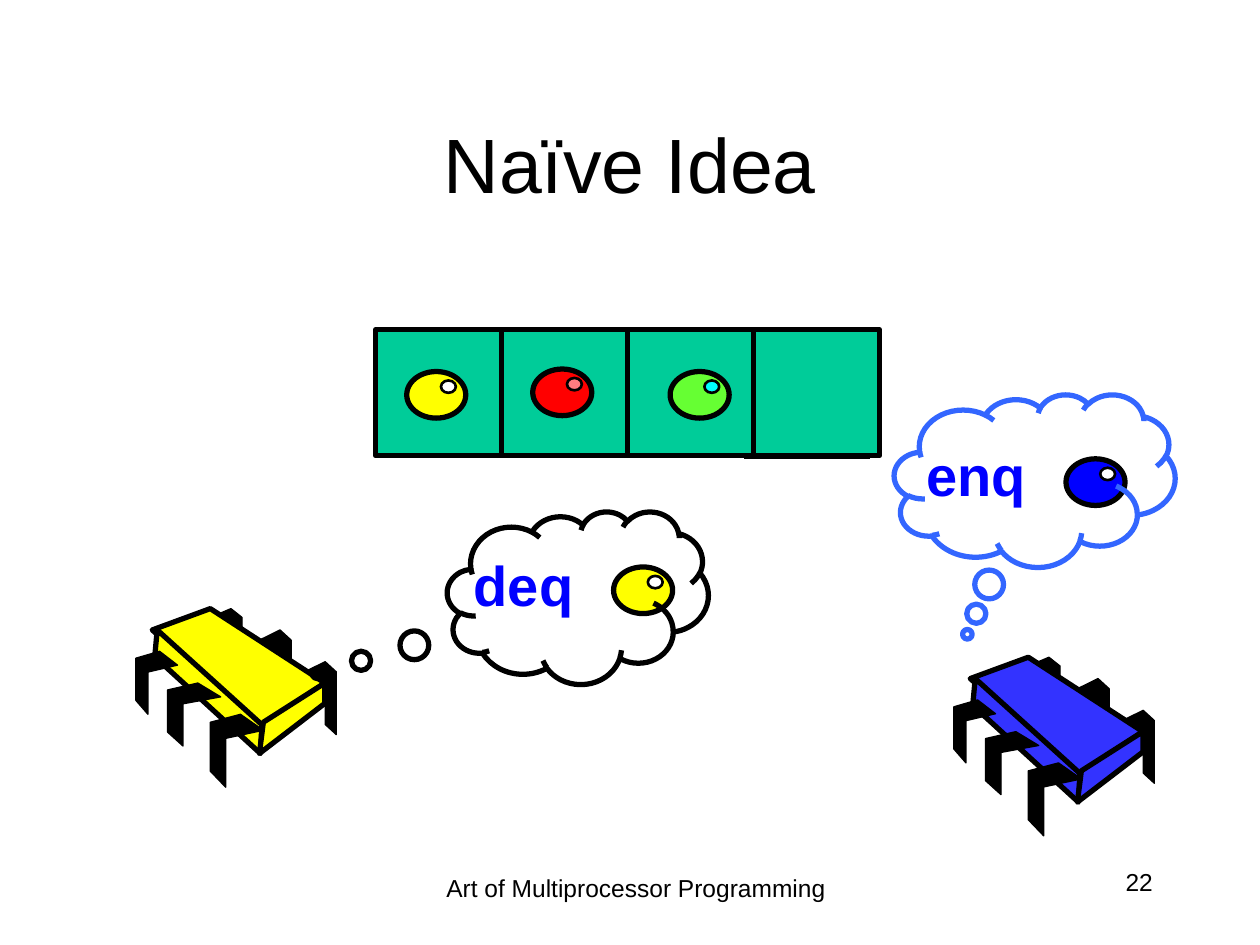
from lxml import etree
from pptx import Presentation
from pptx.dml.color import RGBColor
from pptx.enum.shapes import MSO_CONNECTOR, MSO_SHAPE
from pptx.enum.text import MSO_ANCHOR, PP_ALIGN
from pptx.oxml.ns import qn
from pptx.util import Cm, Pt

RECT, OVAL, CLOUD = MSO_SHAPE.RECTANGLE, MSO_SHAPE.OVAL, MSO_SHAPE.CLOUD_CALLOUT
LINE = MSO_CONNECTOR.STRAIGHT
MID, TOP = MSO_ANCHOR.MIDDLE, MSO_ANCHOR.TOP
MIDDLE, RIGHT = PP_ALIGN.CENTER, PP_ALIGN.RIGHT
BLACK, BLUE, GREEN = "000000", "0000FF", "00CC99"
YELLOW, WHITE = "FFFF00", "FFFFFF"

TITLE = ("Naïve Idea", 1.9, 1.7, 21.6, 3.18, 44)
FOOT = ("Art of Multiprocessor Programming", 8.2, 17.48, 9.25, 1.27, 14)
PAGE = ("22", 18.21, 17.35, 5.28, 1.27, 14)
CALLS = [("enq", 18.42, 8.76, 2.51, 1.63, 32), ("deq", 9.3, 10.97, 2.51, 1.63, 32)]

CELL, CELLS, LEFT, HEAD = 2.54, 4, 7.57, 6.65
EDGE = 14.99
BEADS = [
    (13.51, 7.49, "66FF33", "00FFFF"),
    (10.74, 7.44, "FF0000", "FF7C80"),
    (8.2, 7.49, YELLOW, WHITE),
    (21.49, 9.25, BLUE, WHITE),
    (12.37, 11.43, YELLOW, WHITE),
]
CLOUDS = [
    (9.02, 10.31, 5.26, 3.48, BLACK, (-1, 0.44)),
    (18.03, 7.95, 5.66, 3.48, "3366FF", (-0.24, 0.89)),
]
CHIPS = [(2.74, 12.27, YELLOW), (19.23, 13.25, "3333FF")]
FACES = [
    [(1.5, 0), (3.81, 1.5), (2.51, 2.36), (0.33, 0.43)],
    [(0.43, 0.43), (2.54, 2.34), (2.51, 2.92), (0.38, 0.97)],
    [(3.81, 1.5), (3.81, 1.91), (2.49, 2.92), (2.57, 2.29)],
]
REAR = [(0, 0.14), (0.65, 0), (1, 0.14), (1, 1), (0.65, 0.86), (0.65, 0.29), (0, 0.43)]
FRONT = [(0.57, 0), (1, 0.22), (0.29, 0.33), (0.29, 1), (0, 0.78), (0, 0.11)]
BACK_LEGS = [(3.4, 1.07, 0.64, 1.47), (2.49, 0.43, 0.64, 1.47), (1.5, 0, 0.64, 1.27)]
NEAR_LEGS = [(1.5, 2.13, 1.07, 1.47), (0.64, 1.5, 1.07, 1.27), (0, 0.86, 0.84, 1.27)]

deck = Presentation()
deck.slide_width, deck.slide_height = Cm(25.4), Cm(19.05)
shapes = deck.slides.add_slide(deck.slide_layouts[6]).shapes


def color(code):
    return RGBColor.from_string(code)


def paint(shape, fill, line=BLACK, width=3):
    shape.shadow.inherit = False
    if fill:
        shape.fill.solid()
        shape.fill.fore_color.rgb = color(fill)
    else:
        shape.fill.background()
    shape.line.color.rgb = color(line)
    shape.line.width = Pt(width)


def block(kind, x, y, w, h, fill, line=BLACK, width=3):
    shape = shapes.add_shape(kind, Cm(x), Cm(y), Cm(w), Cm(h))
    paint(shape, fill, line, width)
    return shape


def write(item, align=MIDDLE, code=BLACK, bold=False, wrap=True, anchor=TOP):
    text, x, y, w, h, size = item
    frame = shapes.add_textbox(Cm(x), Cm(y), Cm(w), Cm(h)).text_frame
    frame.word_wrap = wrap
    frame.vertical_anchor = anchor
    para = frame.paragraphs[0]
    para.text = text
    para.alignment = align
    font = para.font
    font.name, font.size, font.bold = "Arial", Pt(size), bold
    font.color.rgb = color(code)


def rule(x, y, length):
    line = shapes.add_connector(LINE, Cm(x), Cm(y), Cm(x + length), Cm(y))
    line.line.color.rgb = color(BLACK)
    line.line.width = Pt(3)
    etree.SubElement(line._element.spPr, qn("a:effectLst"))


def bead(x, y, fill, spark):
    block(OVAL, x, y, 1.19, 0.94, fill)
    block(OVAL, x + 0.69, y + 0.18, 0.3, 0.25, spark, width=1.5)


def outline(points, x, y, fill, width):
    spots = [(Cm(x + a), Cm(y + b)) for a, b in points]
    path = shapes.build_freeform(*spots[0])
    path.add_line_segments(spots[1:], close=True)
    paint(path.convert_to_shape(), fill, width=width)


def legs(form, places, x, y):
    for dx, dy, w, h in places:
        points = [(dx + a * w, dy + b * h) for a, b in form]
        outline(points, x, y, BLACK, 0.75)


def chip(x, y, fill):
    legs(REAR, BACK_LEGS, x, y)
    for face in FACES:
        outline(face, x, y, fill, 3)
    legs(FRONT, NEAR_LEGS, x, y)


write(TITLE, anchor=MID)
for y in (HEAD, HEAD + CELL):
    rule(EDGE, y, CELL)
for i in range(CELLS):
    block(RECT, LEFT + i * CELL, HEAD, CELL, CELL, GREEN)
for call in CALLS:
    write(call, RIGHT, BLUE, True, False)
for item in BEADS:
    bead(*item)
for item in CHIPS:
    chip(*item)
for x, y, w, h, line, tail in CLOUDS:
    cloud = block(CLOUD, x, y, w, h, None, line)
    cloud.adjustments[0], cloud.adjustments[1] = tail
write(PAGE, RIGHT)
write(FOOT)
deck.save("out.pptx")
